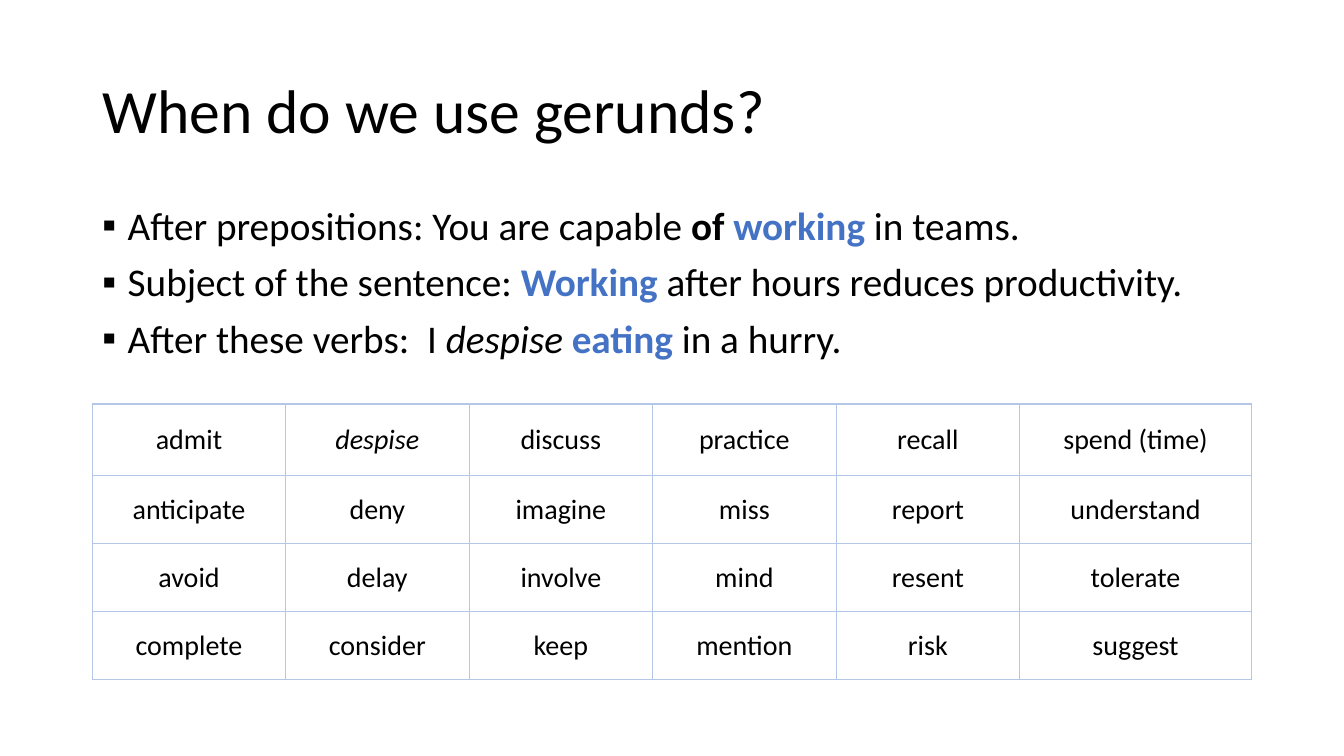
"""Build the slide on when to use gerunds."""
from lxml.etree import SubElement
from pptx import Presentation
from pptx.dml.color import RGBColor
from pptx.enum.text import MSO_ANCHOR, MSO_AUTO_SIZE, PP_ALIGN
from pptx.oxml import parse_xml
from pptx.oxml.ns import nsdecls, qn
from pptx.util import Inches, Pt

COLORS = {"text": "000000", "key": "4472C4", "rule": "B4C7E7", "back": "FFFFFF"}

POINTS = [
    [("After prepositions: You are capable ", ""), ("of ", "bold"),
     ("working", "key"), (" in teams.", "")],
    [("Subject of the sentence: ", ""), ("Working", "key"),
     (" after hours reduces productivity.", "")],
    [("After these verbs:  I ", ""), ("despise ", "slant"),
     ("eating", "key"), (" in a hurry.", "")],
]

VERBS = [
    ["admit", "despise", "discuss", "practice", "recall", "spend (time)"],
    ["anticipate", "deny", "imagine", "miss", "report", "understand"],
    ["avoid", "delay", "involve", "mind", "resent", "tolerate"],
    ["complete", "consider", "keep", "mention", "risk", "suggest"],
]


class Deck:
    """Hold the style and the slide, on a grid of 160 columns by 90 rows."""

    def __init__(self):
        self.font = "Calibri"
        self.show = Presentation()
        self.show.slide_width = Inches(13.33)
        self.show.slide_height = Inches(7.5)
        self.slide = self.show.slides.add_slide(self.show.slide_layouts[1])
        fill = self.slide.background.fill
        fill.solid()
        fill.fore_color.rgb = RGBColor.from_string(COLORS["back"])

    def col(self, count):
        return int(self.show.slide_width * count / 160)

    def row(self, count):
        return int(self.show.slide_height * count / 90)

    def style(self, run, size, mark=""):
        font = run.font
        font.name, font.size = self.font, Pt(size)
        font.bold = mark in ("bold", "key")
        font.italic = mark == "slant"
        color = COLORS["key" if mark == "key" else "text"]
        font.color.rgb = RGBColor.from_string(color)

    def place(self, shape, left, top, width, height, anchor):
        shape.left, shape.top = self.col(left), self.row(top)
        shape.width, shape.height = self.col(width), self.row(height)
        frame = shape.text_frame
        frame.auto_size = MSO_AUTO_SIZE.NONE
        frame.word_wrap = True
        frame.vertical_anchor = anchor
        return frame

    def title(self, text, *box):
        frame = self.place(self.slide.shapes.title, *box, MSO_ANCHOR.MIDDLE)
        frame.text = text
        para = frame.paragraphs[0]
        para.alignment = PP_ALIGN.LEFT
        para.line_spacing = 0.9
        self.style(para.runs[0], 44)

    def list(self, items, *box):
        frame = self.place(self.slide.placeholders[1], *box, MSO_ANCHOR.TOP)
        for index, parts in enumerate(items):
            para = frame.add_paragraph() if index else frame.paragraphs[0]
            props = para._p.get_or_add_pPr()
            props.set("marL", str(Inches(0.25)))
            props.set("indent", str(-Inches(0.25)))
            SubElement(props, qn("a:buFont"), typeface=self.font)
            SubElement(props, qn("a:buChar"), char="▪")
            para.line_spacing = 0.9
            para.space_before = Pt(10 if index else 0)
            for text, mark in parts:
                run = para.add_run()
                run.text = text
                self.style(run, 28, mark)

    def edge(self, cell):
        props = cell._tc.get_or_add_tcPr()
        for index, side in enumerate("LRTB"):
            props.insert(index, parse_xml(
                f'<a:ln{side} {nsdecls("a")} w="{Pt(1)}"><a:solidFill>'
                f'<a:srgbClr val="{COLORS["rule"]}"/></a:solidFill></a:ln{side}>'))

    def table(self, words, left, top, cols, rows, slant):
        grid = self.slide.shapes.add_table(
            len(rows), len(cols), self.col(left), self.row(top),
            self.col(sum(cols)), self.row(sum(rows))).table
        grid.first_row = grid.horz_banding = False
        for line, width in zip(grid.columns, cols):
            line.width = self.col(width)
        for line, height, texts in zip(grid.rows, rows, words):
            line.height = self.row(height)
            for cell, text in zip(line.cells, texts):
                cell.text = text
                cell.fill.background()
                cell.vertical_anchor = MSO_ANCHOR.MIDDLE
                cell.margin_left = cell.margin_right = Inches(0.15)
                cell.margin_top = cell.margin_bottom = Inches(0.08)
                para = cell.text_frame.paragraphs[0]
                para.alignment = PP_ALIGN.CENTER
                self.style(para.runs[0], 20, "slant" if text == slant else "")
                self.edge(cell)


def main():
    deck = Deck()
    deck.title("When do we use gerunds?", 11, 4.8, 138, 17.4)
    deck.list(POINTS, 11, 24, 138, 57.1)
    deck.table(VERBS, 11, 48.1, [23] + [21.85] * 4 + [27.6],
               [8.55] + [8.1] * 3, "despise")
    deck.show.save("out.pptx")


if __name__ == "__main__":
    main()
